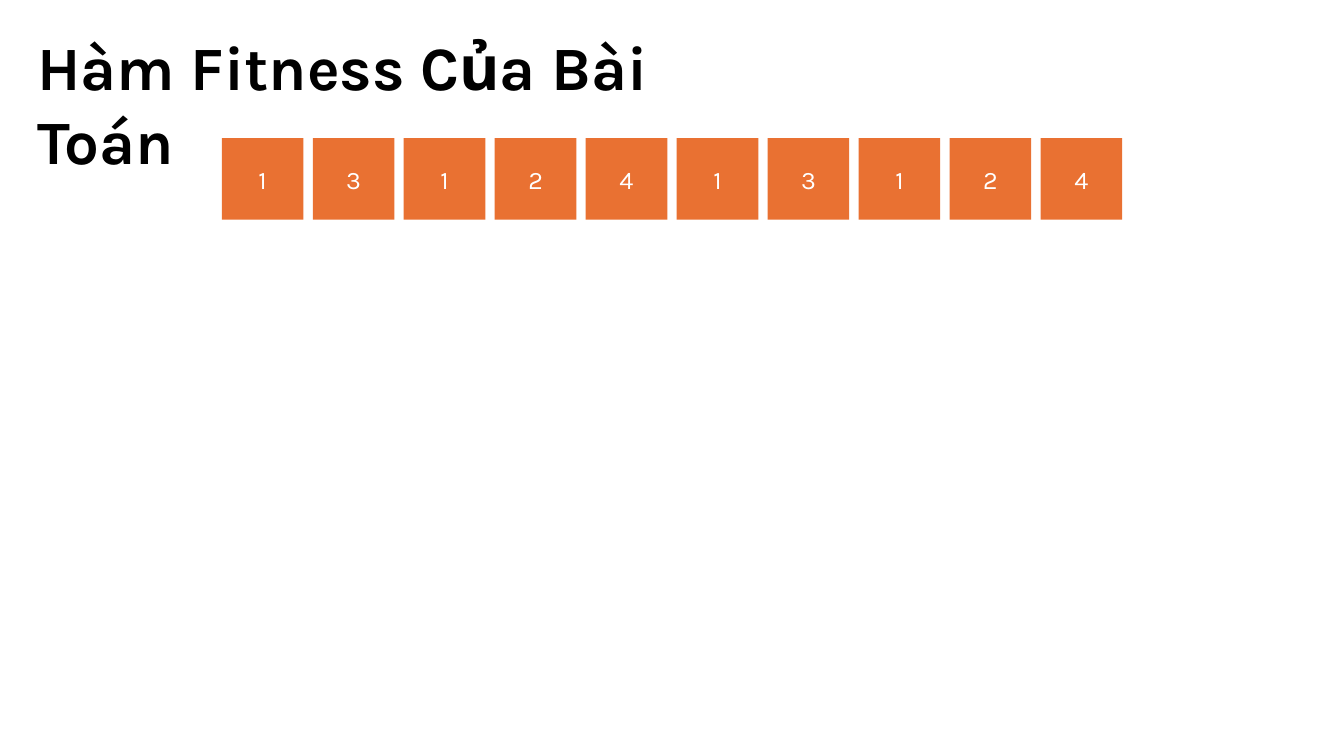
from pptx import Presentation
from pptx.dml.color import RGBColor
from pptx.enum.shapes import MSO_SHAPE as Shape
from pptx.enum.text import MSO_ANCHOR as Anchor, MSO_AUTO_SIZE as AutoSize, PP_ALIGN as Align
from pptx.util import Emu, Pt

PX = 9144  # 100 px to the inch
COLORS = {"background": "FFFFFF", "title": "000000", "gene": "E97132", "gene_text": "FFFFFF"}
TITLE_FONT = {"name": "Karla", "size": Pt(44), "bold": True}
GENE_FONT = {"name": "Karla", "size": Pt(18), "bold": False}
GENES = [1, 3, 1, 2, 4] * 2


def px(*lengths):
    return [Emu(round(length * PX)) for length in lengths]


def color(key):
    return RGBColor.from_string(COLORS[key])


def write(frame, text, font_format, color_key, align):
    paragraph = frame.paragraphs[0]
    paragraph.alignment = align
    run = paragraph.add_run()
    run.text = text
    for attribute, value in font_format.items():
        setattr(run.font, attribute, value)
    run.font.color.rgb = color(color_key)


def add_title(slide, left, top, width, height):
    frame = slide.shapes.add_textbox(*px(left, top, width, height)).text_frame
    frame.word_wrap = True
    frame.auto_size = AutoSize.SHAPE_TO_FIT_TEXT
    write(frame, "Hàm Fitness Của Bài Toán", TITLE_FONT, "title", Align.LEFT)


def add_chromosome(slide, left, top, width, height):
    # Square genes spread evenly from edge to edge
    pitch = (width - height) / (len(GENES) - 1)
    for index, value in enumerate(GENES):
        gene = slide.shapes.add_shape(
            Shape.RECTANGLE, *px(left + index * pitch, top, height, height))
        gene.shadow.inherit = False
        gene.fill.solid()
        gene.fill.fore_color.rgb = color("gene")
        gene.line.fill.background()
        gene.text_frame.vertical_anchor = Anchor.MIDDLE
        write(gene.text_frame, str(value), GENE_FONT, "gene_text", Align.CENTER)


def main():
    deck = Presentation()
    deck.slide_width, deck.slide_height = px(1333, 750)
    slide = deck.slides.add_slide(deck.slide_layouts[6])
    slide.background.fill.solid()
    slide.background.fill.fore_color.rgb = color("background")

    add_title(slide, 27, 24, 757, 84)
    add_chromosome(slide, 220, 137, 893, 81)
    deck.save("out.pptx")


if __name__ == "__main__":
    main()
